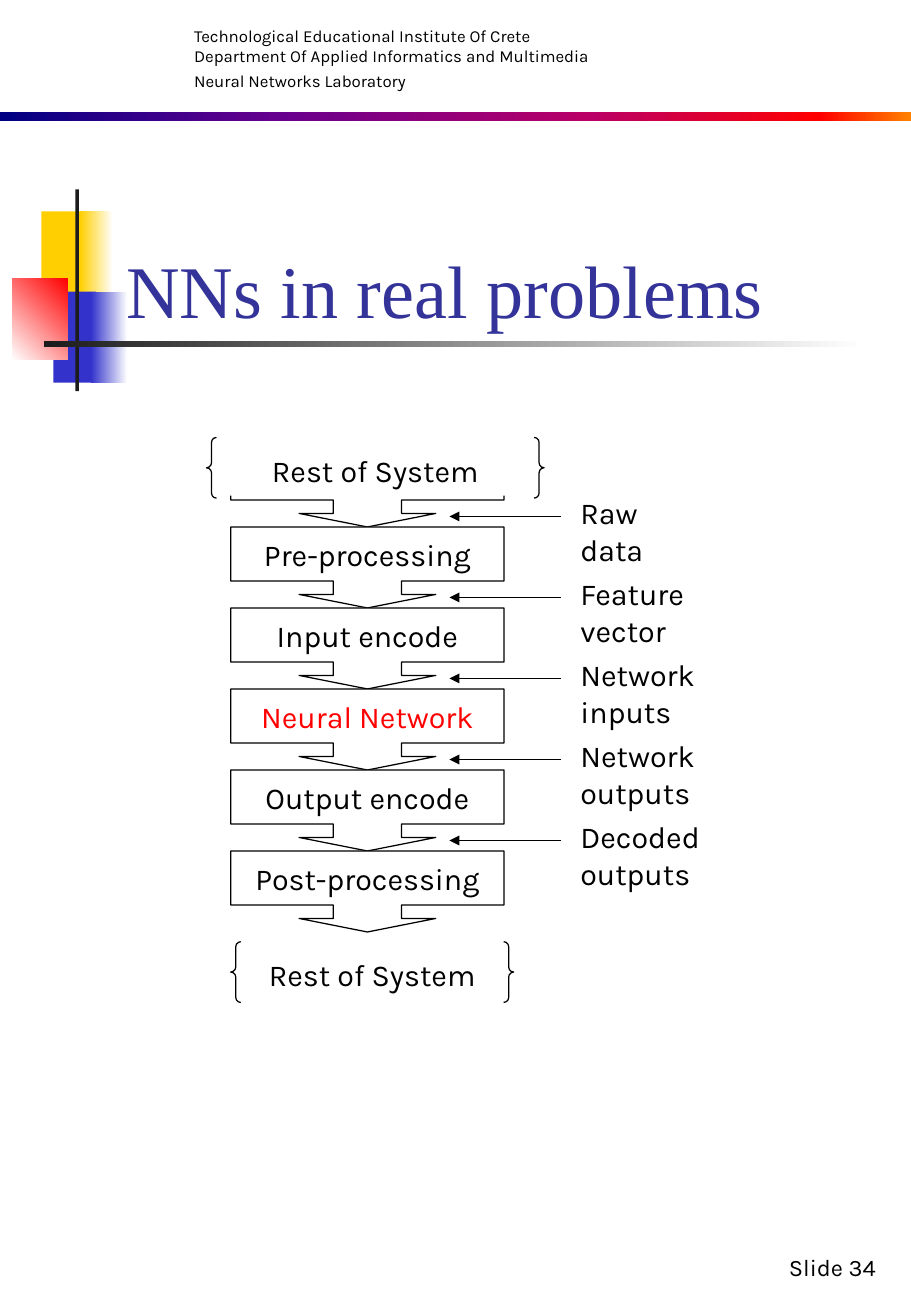
from lxml.etree import SubElement
from pptx import Presentation
from pptx.dml.color import RGBColor
from pptx.enum.shapes import MSO_CONNECTOR, MSO_SHAPE
from pptx.enum.text import MSO_ANCHOR, PP_ALIGN
from pptx.oxml.ns import qn
from pptx.util import Inches, Pt

COLORS = {
    "black": "000000", "white": "FFFFFF", "ink": "1C1C1C", "red": "FF0000",
    "yellow": "FFCF01", "blue": "3333CC", "title": "333399",
    "navy": "000082", "purple": "66008F", "magenta": "BA0066", "orange": "FF8200",
}
BODY_FONT = "Karla"
TITLE_FONT = "Times New Roman"
ROW_PITCH = 2 / 3
STAGES = ["", "Pre-processing", "Input encode", "Neural Network",
          "Output encode", "Post-processing"]
SIGNALS = [("Raw data", 0.86), ("Feature vector", 1.24), ("Network inputs", 1.29),
           ("Network outputs", 1.4), ("Decoded outputs", 1.43)]


def rgb(color):
    return RGBColor.from_string(COLORS[color])


def write_text(shape, text, size=18, font=BODY_FONT, color="black",
               align=PP_ALIGN.LEFT, anchor=MSO_ANCHOR.TOP, wrap=True):
    frame = shape.text_frame
    frame.word_wrap = wrap
    frame.vertical_anchor = anchor
    frame.text = text
    for paragraph in frame.paragraphs:
        paragraph.alignment = align
        for run in paragraph.runs:
            run.font.size = Pt(size)
            run.font.name = font
            run.font.color.rgb = rgb(color)
    return frame


def add_text(slide, box, text, **text_format):
    return write_text(slide.shapes.add_textbox(*map(Inches, box)), text, **text_format)


def add_figure(slide, kind, box, fill=None, outlined=False, adjustments=()):
    figure = slide.shapes.add_shape(kind, *map(Inches, box))
    figure.shadow.inherit = False
    for index, value in enumerate(adjustments):
        figure.adjustments[index] = value
    if fill:
        figure.fill.solid()
        figure.fill.fore_color.rgb = rgb(fill)
    else:
        figure.fill.background()
    if outlined:
        figure.line.color.rgb = rgb("black")
        figure.line.width = Pt(0.75)
    else:
        figure.line.fill.background()
    return figure


def add_gradient(slide, box, stops, angle=0):
    """Add a borderless bar; stops are (percent, color), angle is counter-clockwise."""
    bar = add_figure(slide, MSO_SHAPE.RECTANGLE, box)
    bar.fill.gradient()
    bar.fill.gradient_angle = angle
    stop_list = next(bar._element.spPr.iter(qn("a:gsLst")))
    for old_stop in list(stop_list):
        stop_list.remove(old_stop)
    for percent, color in stops:
        stop = SubElement(stop_list, qn("a:gs"), pos=str(percent * 1000))
        SubElement(stop, qn("a:srgbClr"), val=COLORS[color])


def add_arrow(slide, start_x, end_x, y):
    arrow = slide.shapes.add_connector(
        MSO_CONNECTOR.STRAIGHT, Inches(start_x), Inches(y), Inches(end_x), Inches(y))
    arrow.line.color.rgb = rgb("black")
    arrow.line.width = Pt(0.75)
    SubElement(arrow.line._get_or_add_ln(), qn("a:tailEnd"), type="triangle")
    SubElement(arrow._element.spPr, qn("a:effectLst"))


def add_stage(slide, top, label):
    stage = add_figure(slide, MSO_SHAPE.DOWN_ARROW_CALLOUT, (1.9, top, 2.25, ROW_PITCH),
                       fill="white", outlined=True,
                       adjustments=(0.844, 0.844, 0.167, 0.667))
    if label:
        write_text(stage, label, color="red" if label == "Neural Network" else "black",
                   align=PP_ALIGN.CENTER, anchor=MSO_ANCHOR.MIDDLE, wrap=False)


def add_rest_of_system(slide, box):
    braces = add_figure(slide, MSO_SHAPE.DOUBLE_BRACE, box, outlined=True,
                        adjustments=(0.083,))
    write_text(braces, "Rest of System", align=PP_ALIGN.CENTER,
               anchor=MSO_ANCHOR.MIDDLE, wrap=False)


def add_ornament(slide):
    add_figure(slide, MSO_SHAPE.RECTANGLE, (0.34, 1.74, 0.36, 0.75), fill="yellow")
    add_gradient(slide, (0.66, 1.74, 0.27, 0.75), [(0, "yellow"), (100, "white")])
    add_figure(slide, MSO_SHAPE.RECTANGLE, (0.44, 2.4, 0.35, 0.75), fill="blue")
    add_gradient(slide, (0.75, 2.4, 0.3, 0.75), [(0, "blue"), (100, "white")])
    add_gradient(slide, (0.1, 2.29, 0.46, 0.67), [(0, "white"), (100, "red")], angle=45)
    add_figure(slide, MSO_SHAPE.RECTANGLE, (0.62, 1.56, 0.03, 1.66), fill="ink")
    add_gradient(slide, (0.36, 2.81, 6.75, 0.05), [(0, "ink"), (100, "white")])


def add_header(slide):
    header = add_text(
        slide, (1.5, 0.16, 4.42, 0.96),
        "Technological Educational Institute Of Crete\n"
        "Department Of Applied Informatics and Multimedia\n"
        "Neural Networks Laboratory", size=10)
    header.paragraphs[-1].space_before = Pt(3)
    add_gradient(slide, (0, 0.92, 7.5, 0.08),
                 [(0, "navy"), (30, "purple"), (65, "magenta"),
                  (90, "red"), (100, "orange")])


def add_pipeline(slide):
    for row, label in enumerate(STAGES):
        add_stage(slide, 3.67 + row * ROW_PITCH, label)
    add_figure(slide, MSO_SHAPE.RECTANGLE, (1.81, 3.5, 2.58, 0.58), fill="white")
    add_rest_of_system(slide, (1.7, 3.6, 2.78, 0.5))
    add_rest_of_system(slide, (1.9, 7.75, 2.33, 0.5))
    for row, (signal, width) in enumerate(SIGNALS):
        arrow_y = 4.25 + row * ROW_PITCH
        add_arrow(slide, 4.62, 3.7, arrow_y)
        add_text(slide, (4.68, arrow_y - 0.23, width, 0.58), signal)


def main():
    presentation = Presentation()
    presentation.slide_width = Inches(7.5)
    presentation.slide_height = Inches(10.83)
    slide = presentation.slides.add_slide(presentation.slide_layouts[6])
    add_ornament(slide)
    add_header(slide)
    add_text(slide, (5.75, 10.08, 1.56, 0.51), "Slide 34", size=14,
             align=PP_ALIGN.RIGHT, anchor=MSO_ANCHOR.BOTTOM)
    add_text(slide, (0.94, 0.98, 6.39, 1.81), "NNs in real problems", size=44,
             font=TITLE_FONT, color="title", anchor=MSO_ANCHOR.BOTTOM)
    add_pipeline(slide)
    presentation.save("out.pptx")


if __name__ == "__main__":
    main()
